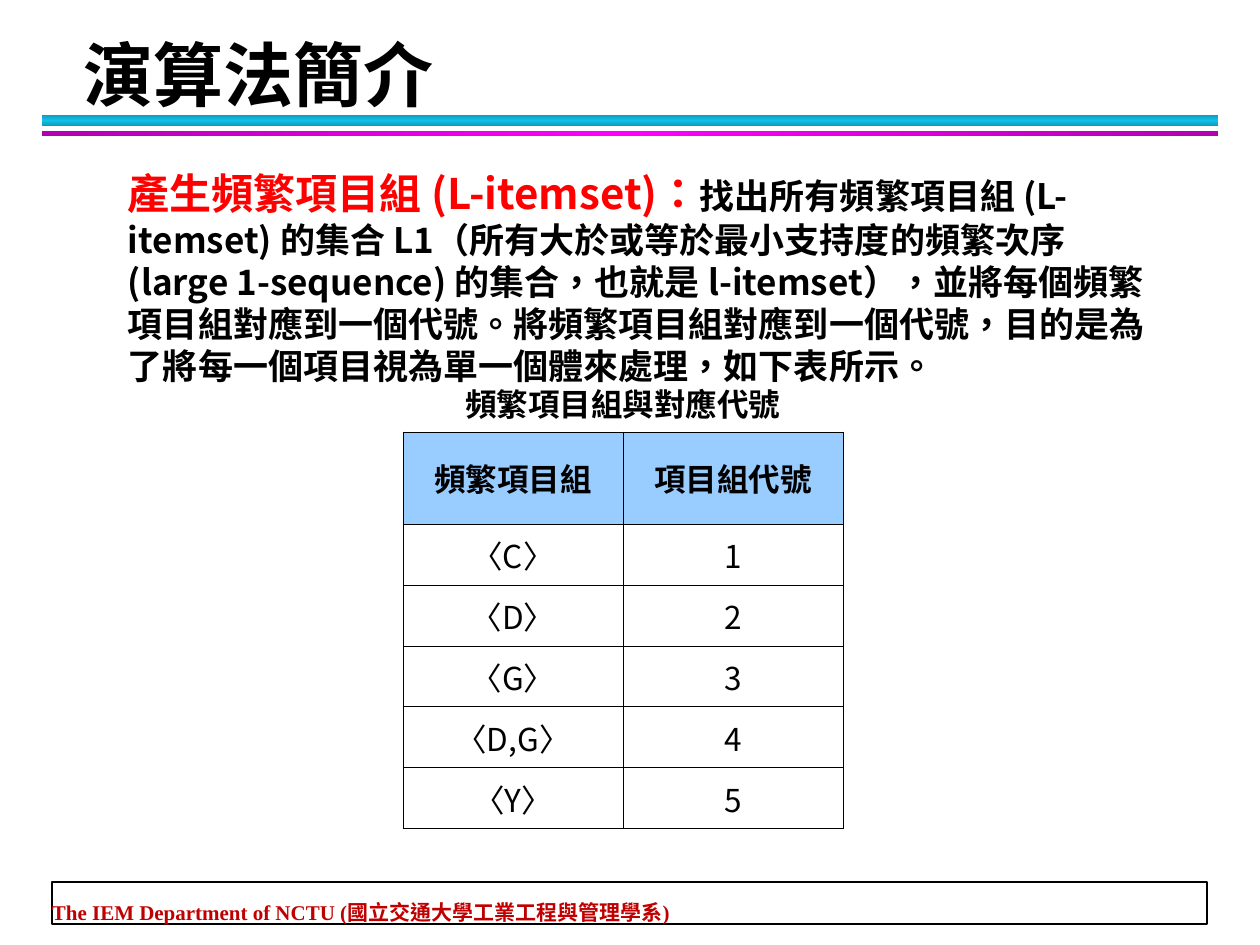
from copy import deepcopy
from lxml import etree
from pptx import Presentation
from pptx.dml.color import RGBColor
from pptx.enum.lang import MSO_LANGUAGE_ID
from pptx.enum.shapes import MSO_SHAPE
from pptx.enum.text import MSO_ANCHOR, MSO_AUTO_SIZE, PP_ALIGN
from pptx.oxml.ns import qn
from pptx.util import Pt

RECT = MSO_SHAPE.RECTANGLE
LEFT, CENTER = PP_ALIGN.LEFT, PP_ALIGN.CENTER
TOP, MIDDLE, BOTTOM = MSO_ANCHOR.TOP, MSO_ANCHOR.MIDDLE, MSO_ANCHOR.BOTTOM
ZH_TW = MSO_LANGUAGE_ID.TRADITIONAL_CHINESE
PX = 914400 // 126
SANS, SERIF = "Noto Sans CJK SC", "Times New Roman"
COLORS = {
    "black": "000000", "white": "FFFFFF", "red": "FF0000", "footer": "C00000",
    "header": "99CCFF", "cyan_dark": "0E9BBA", "cyan": "12C2E9",
    "magenta_dark": "B200B2", "magenta": "FF00FF",
}

TITLE = "演算法簡介"
LEAD = "產生頻繁項目組 (L-itemset)："
BODY = ("找出所有頻繁項目組 (L-itemset) 的集合 L1（所有大於或等於最小支持度的頻繁次序 "
        "(large 1-sequence) 的集合，也就是 l-itemset），並將每個頻繁項目組對應到一個代號。"
        "將頻繁項目組對應到一個代號，目的是為了將每一個項目視為單一個體來處理，如下表所示。")
FOOTER = "The IEM Department of NCTU (國立交通大學工業工程與管理學系)"
CAPTION = "頻繁項目組與對應代號"
HEADERS = ["頻繁項目組", "項目組代號"]
ITEMSETS = ["〈C〉", "〈D〉", "〈G〉", "〈D,G〉", "〈Y〉"]
ROWS = [[CAPTION, ""], HEADERS] + [[t, str(i)] for i, t in enumerate(ITEMSETS, 1)]
ROW_HEIGHTS = [104, 92] + [61] * len(ITEMSETS)
COL_WIDTH = 220
BARS = [
    (42, 115, 1176, 11, "cyan_dark", "cyan", 90),
    (42, 131, 1176, 5, "magenta_dark", "magenta", 0),
]


def rgb(name):
    return RGBColor.from_string(COLORS[name])


def emu(*lengths):
    return [n * PX for n in lengths]


def write(tf, runs, size, bold=True, font=SANS, align=LEFT, spacing=None):
    p = tf.paragraphs[0]
    p.alignment = align
    if spacing:
        p.line_spacing = Pt(spacing)
    p.font.name, p.font.size, p.font.bold = font, Pt(size), bold
    defaults = p._p.get_or_add_pPr().get_or_add_defRPr()
    etree.SubElement(defaults, qn("a:ea")).set("typeface", SANS)
    for text, run_size, color in runs:
        r = p.add_run()
        r.text = text
        r.font.language_id = ZH_TW
        r.font.size, r.font.bold, r.font.name = Pt(run_size), bold, font
        r.font.color.rgb = rgb(color)
        etree.SubElement(r.font._element, qn("a:ea")).set("typeface", SANS)


def frame(sp, anchor, inset_x=13, inset_y=6):
    tf = sp.text_frame
    tf.auto_size = MSO_AUTO_SIZE.NONE
    tf.word_wrap, tf.vertical_anchor = True, anchor
    tf.margin_left = tf.margin_right = inset_x * PX
    tf.margin_top = tf.margin_bottom = inset_y * PX
    return tf


def add_bar(s, x, y, w, h, edge, middle, angle):
    sp = s.shapes.add_shape(RECT, *emu(x, y, w, h))
    sp.shadow.inherit = False
    sp.line.fill.background()
    sp.fill.gradient()
    sp.fill.gradient_angle = angle
    first = sp._element.spPr.find(".//" + qn("a:gs"))
    first.addnext(deepcopy(first))
    for stop, pos, color in zip(sp.fill.gradient_stops, (0, 0.5, 1), (edge, middle, edge)):
        stop.position = pos
        stop.color.rgb = rgb(color)


def set_borders(cell, sides):
    tcPr = cell._tc.get_or_add_tcPr()
    for i, side in enumerate(("L", "R", "T", "B")):
        ln = etree.Element(qn("a:ln" + side), w=str(Pt(0.45)))
        if side in sides:
            fill = etree.SubElement(ln, qn("a:solidFill"))
            etree.SubElement(fill, qn("a:srgbClr"), val=COLORS["black"])
        else:
            etree.SubElement(ln, qn("a:noFill"))
        tcPr.insert(i, ln)


def add_itemset_table(s):
    shape = s.shapes.add_table(len(ROWS), 2, *emu(403, 328, 2 * COL_WIDTH, sum(ROW_HEIGHTS)))
    table = shape.table
    table.first_row = table.horz_banding = False
    for col in table.columns:
        col.width = COL_WIDTH * PX
    for i, (texts, height) in enumerate(zip(ROWS, ROW_HEIGHTS)):
        table.rows[i].height = height * PX
        for cell, text in zip(table.rows[i].cells, texts):
            cell.vertical_anchor = BOTTOM if i == 0 else MIDDLE
            cell.margin_left = cell.margin_right = 10 * PX
            cell.margin_top = cell.margin_bottom = 6 * PX
            if i == 1:
                cell.fill.solid()
                cell.fill.fore_color.rgb = rgb("header")
            else:
                cell.fill.background()
            set_borders(cell, "B" if i == 0 else "LRTB")
            if text:
                write(cell.text_frame, [(text, 18, "black")], 18, bold=i < 2, align=CENTER)
    table.cell(0, 0).merge(table.cell(0, 1))


prs = Presentation()
prs.slide_width, prs.slide_height = emu(1260, 945)
s = prs.slides.add_slide(prs.slide_layouts[5])

title = s.shapes.title
title.left, title.top, title.width, title.height = emu(71, 26, 400, 97)
write(frame(title, TOP), [(TITLE, 40, "black")], 40, spacing=48)

for bar in BARS:
    add_bar(s, *bar)

box = s.shapes.add_shape(RECT, *emu(52, 882, 1155, 42))
box.shadow.inherit = False
box.fill.solid()
box.fill.fore_color.rgb = rgb("white")
box.line.color.rgb = rgb("black")
box.line.width = Pt(1)

footer = s.shapes.add_textbox(*emu(52, 890, 1153, 35))
write(frame(footer, BOTTOM, 0, 0), [(FOOTER, 12, "footer")], 12, font=SERIF, spacing=20)

body = s.shapes.add_textbox(*emu(115, 170, 1050, 232))
write(frame(body, TOP), [(LEAD, 24, "red"), (BODY, 20, "black")], 20, spacing=24)

add_itemset_table(s)
prs.save("out.pptx")
